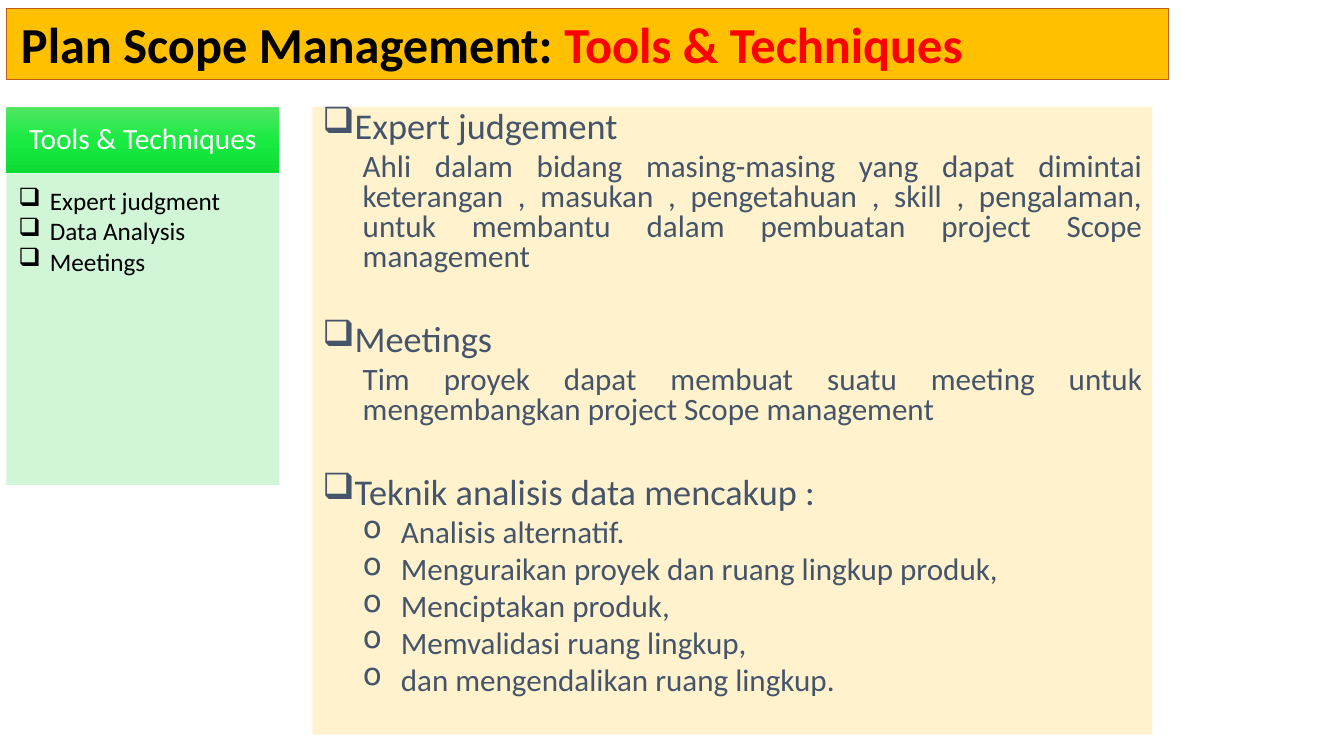
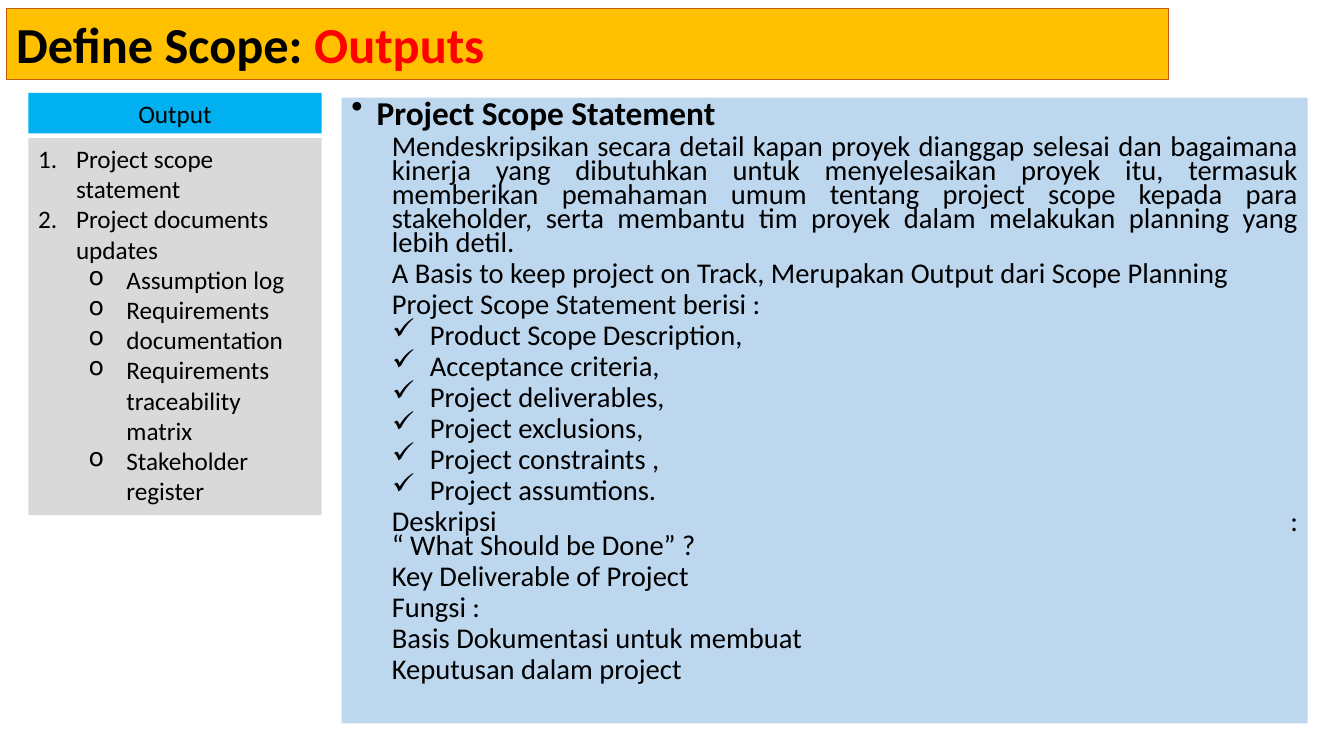
from copy import deepcopy
from dataclasses import dataclass, replace
from typing import Optional

from lxml import etree
from pptx import Presentation
from pptx.dml.color import RGBColor
from pptx.enum import shapes, text
from pptx.oxml import ns
from pptx.util import Pt

# Shared colours
BLACK = RGBColor(0x00, 0x00, 0x00)
WHITE = RGBColor(0xFF, 0xFF, 0xFF)
RED = RGBColor(0xFF, 0x00, 0x00)
SLATE = RGBColor(0x44, 0x54, 0x6A)
AMBER = RGBColor(0xFF, 0xC0, 0x00)
RUST = RGBColor(0xC5, 0x5A, 0x11)
CREAM = RGBColor(0xFF, 0xF2, 0xCC)
PALE_BLUE = RGBColor(0xBD, 0xD7, 0xEE)
SKY = RGBColor(0x00, 0xB0, 0xF0)
GREY = RGBColor(0xD9, 0xD9, 0xD9)
MINT = RGBColor(0xCC, 0xF6, 0xD3)
GREENS = (RGBColor(0x51, 0xE6, 0x63), RGBColor(0x19, 0xEB, 0x42),
          RGBColor(0x0C, 0xDB, 0x34))

FONT = "Calibri"
TITLE_BOX = (4.5, 6, 830, 50.5)
INSETS = (7.2, 3.6, 7.2, 3.6)
NUMBERED = "1."
LEFT, CENTER, JUSTIFY = (text.PP_ALIGN.LEFT, text.PP_ALIGN.CENTER,
                         text.PP_ALIGN.JUSTIFY)
TOP, MIDDLE = text.MSO_ANCHOR.TOP, text.MSO_ANCHOR.MIDDLE


@dataclass(frozen=True)
class Style:
    size: float
    color: RGBColor = BLACK
    bold: bool = False
    align: text.PP_ALIGN = LEFT
    left: float = 0
    hang: float = 0
    bullet: Optional[str] = None
    before: float = 0
    spacing: float = 1.0


# Side panel styles
SIDE_CHECK = Style(18, left=22.5, hang=22.5, bullet="❑")
SIDE_NUMBER = Style(18, left=27, hang=27, bullet=NUMBERED)
SIDE_SUB = Style(18, left=63, hang=27, bullet="o")

# Content styles of the tools slide
TOOL_HEAD = Style(25.9, SLATE, align=JUSTIFY, left=18, hang=18, bullet="❑",
                  before=37, spacing=0.8)
TOOL_TEXT = Style(22.2, SLATE, align=JUSTIFY, left=28.8, before=5, spacing=0.8)
TOOL_ITEM = replace(TOOL_TEXT, left=56, hang=27, bullet="o")

# Content styles of the outputs slide
OUT_HEAD = Style(23.8, bold=True, align=JUSTIFY, left=18, hang=18, bullet="•",
                 spacing=0.7)
OUT_TEXT = Style(20.4, align=JUSTIFY, left=28.8, before=5, spacing=0.7)
OUT_ITEM = replace(OUT_TEXT, left=56, hang=27, bullet="✓")


def add_panel(slide, box, fill=None, insets=INSETS, anchor=TOP):
    """Plain rectangle with a text frame ready for content."""
    panel = slide.shapes.add_shape(shapes.MSO_SHAPE.RECTANGLE,
                                   *(Pt(length) for length in box))
    panel.shadow.inherit = False
    panel.line.fill.background()
    if fill is not None:
        panel.fill.solid()
        panel.fill.fore_color.rgb = fill
    frame = panel.text_frame
    frame.word_wrap = True
    frame.vertical_anchor = anchor
    (frame.margin_left, frame.margin_top,
     frame.margin_right, frame.margin_bottom) = (Pt(inset) for inset in insets)
    return panel


def format_run(run, size, color, bold):
    run.font.name = FONT
    run.font.size = Pt(size)
    run.font.bold = bold
    run.font.color.rgb = color


def set_bullet(paragraph, style):
    properties = paragraph._p.get_or_add_pPr()
    properties.set("marL", str(Pt(style.left)))
    properties.set("indent", str(-Pt(style.hang)))
    if style.bullet is None:
        etree.SubElement(properties, ns.qn("a:buNone"))
    elif style.bullet == NUMBERED:
        etree.SubElement(properties, ns.qn("a:buAutoNum"), type="arabicPeriod")
    else:
        etree.SubElement(properties, ns.qn("a:buChar"), char=style.bullet)


def write_paragraphs(frame, entries):
    """Fill the frame with (style, wording) entries."""
    for index, (style, wording) in enumerate(entries):
        paragraph = frame.paragraphs[0] if index == 0 else frame.add_paragraph()
        paragraph.text = wording
        set_bullet(paragraph, style)
        paragraph.alignment = style.align
        paragraph.line_spacing = style.spacing
        paragraph.space_before = Pt(style.before if index else 0)
        for run in paragraph.runs:
            format_run(run, style.size, style.color, style.bold)


def title_band(slide, process, topic, inset=7.2):
    band = add_panel(slide, TITLE_BOX, AMBER, (inset, *INSETS[1:]), MIDDLE)
    band.line.color.rgb = RUST
    band.line.width = Pt(0.75)
    paragraph = band.text_frame.paragraphs[0]
    paragraph.alignment = LEFT
    for wording, color in ((process, BLACK), (topic, RED)):
        run = paragraph.add_run()
        run.text = wording
        format_run(run, 36, color, True)


def side_panel(slide, box, header_height, gap, heading, heading_style, entries,
               header_fill=None, list_fill=GREY, list_insets=INSETS):
    """Header above a list, stacked inside the box."""
    left, top, width, height = box
    header = add_panel(slide, (left, top, width, header_height), header_fill,
                       anchor=MIDDLE)
    write_paragraphs(header.text_frame, [(heading_style, heading)])
    list_top = header_height + gap
    listing = add_panel(slide, (left, top + list_top, width, height - list_top),
                        list_fill, list_insets)
    write_paragraphs(listing.text_frame, entries)
    return header, listing


def content_panel(slide, box, fill, entries):
    write_paragraphs(add_panel(slide, box, fill).text_frame, entries)


def fill_green_gradient(header):
    """Three-stop vertical gradient."""
    header.fill.gradient()
    header.fill.gradient_angle = 270
    first = header.fill.gradient_stops[0]._gs
    first.addnext(deepcopy(first))
    for index, (stop, color) in enumerate(zip(header.fill.gradient_stops, GREENS)):
        stop.position = index / 2
        stop.color.rgb = color


def make_translucent(panel, percent):
    color = panel.fill._xPr.find(ns.qn("a:solidFill"))[0]
    etree.SubElement(color, ns.qn("a:alpha"), val=str(percent * 1000))


def tools_slide(slide):
    title_band(slide, "Plan Scope Management: ", "Tools & Techniques", inset=10.5)
    header, listing = side_panel(
        slide, (4.5, 76.3, 195, 270), 47.5, 0, "Tools & Techniques",
        Style(21, WHITE, align=CENTER, spacing=0.9),
        [(SIDE_CHECK, tool) for tool in
         ("Expert judgment", "Data Analysis", "Meetings")],
        list_fill=MINT, list_insets=(8.6, 8.6, 11.5, 13))
    fill_green_gradient(header)
    make_translucent(listing, 90)
    content_panel(slide, (223.2, 76.3, 600, 448.5), CREAM, [
        (TOOL_HEAD, "Expert judgement"),
        (TOOL_TEXT, "Ahli dalam bidang masing-masing yang dapat dimintai "
                    "keterangan , masukan , pengetahuan , skill , pengalaman, "
                    "untuk membantu dalam pembuatan project Scope management"),
        (TOOL_HEAD, "Meetings"),
        (TOOL_TEXT, "Tim proyek dapat membuat suatu meeting untuk "
                    "mengembangkan project Scope management"),
        (TOOL_HEAD, "Teknik analisis data mencakup :"),
        *((TOOL_ITEM, technique) for technique in (
            "Analisis alternatif.",
            "Menguraikan proyek dan ruang lingkup produk,",
            "Menciptakan produk,",
            "Memvalidasi ruang lingkup,",
            "dan mengendalikan ruang lingkup.")),
    ])


def outputs_slide(slide):
    title_band(slide, "Define Scope: ", "Outputs")
    content_panel(slide, (244, 69.8, 690, 447), PALE_BLUE, [
        (OUT_HEAD, "Project Scope Statement"),
        (OUT_TEXT, "Mendeskripsikan secara detail kapan proyek dianggap selesai "
                   "dan bagaimana kinerja yang dibutuhkan untuk menyelesaikan "
                   "proyek itu, termasuk memberikan pemahaman umum tentang "
                   "project scope kepada para stakeholder, serta membantu tim "
                   "proyek dalam melakukan planning yang lebih detil."),
        (OUT_TEXT, "A Basis to keep project on Track, Merupakan Output dari "
                   "Scope Planning"),
        (OUT_TEXT, "Project Scope Statement berisi :"),
        *((OUT_ITEM, part) for part in (
            "Product Scope Description,", "Acceptance criteria,",
            "Project deliverables,", "Project exclusions,",
            "Project constraints ,", "Project assumtions.")),
        *((OUT_TEXT, line) for line in (
            "Deskripsi :\v“ What Should be Done” ?",
            "Key Deliverable of Project", "Fungsi :",
            "Basis Dokumentasi untuk membuat", "Keputusan dalam project")),
    ])
    side_panel(
        slide, (20.2, 66.3, 209.5, 301.7), 29, 3.4, "Output",
        Style(18, align=CENTER),
        [(SIDE_NUMBER, "Project scope statement"),
         (SIDE_NUMBER, "Project documents updates"),
         *((SIDE_SUB, document) for document in (
             "Assumption log", "Requirements", "documentation",
             "Requirements traceability matrix", "Stakeholder register"))],
        header_fill=SKY)


def main():
    deck = Presentation()
    deck.slide_width, deck.slide_height = Pt(960), Pt(540)
    blank = deck.slide_layouts[6]
    for build in (tools_slide, outputs_slide):
        build(deck.slides.add_slide(blank))
    deck.save("out.pptx")


if __name__ == "__main__":
    main()
